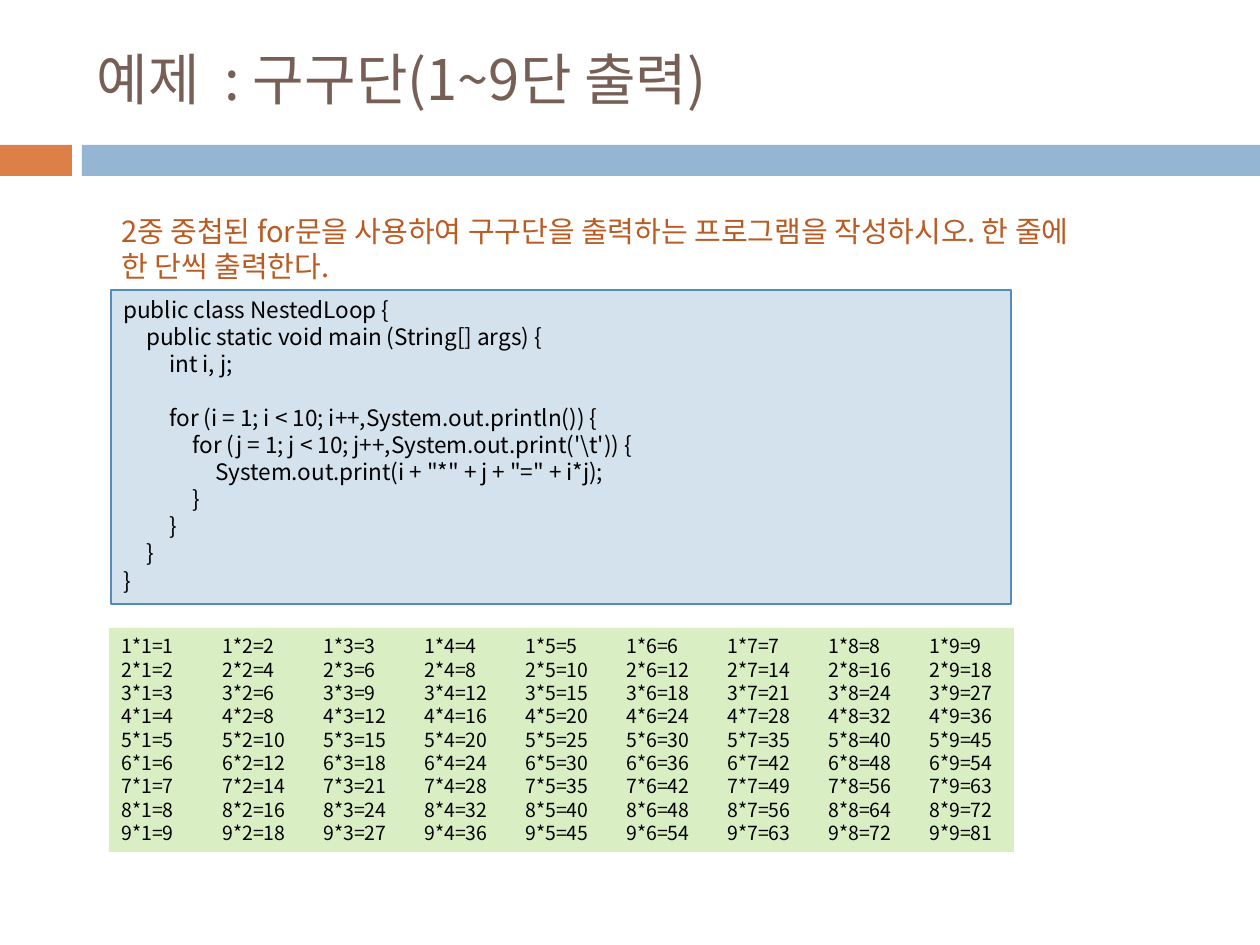
from lxml.etree import SubElement
from pptx import Presentation
from pptx.dml.color import RGBColor
from pptx.enum.shapes import MSO_SHAPE
from pptx.enum.text import MSO_ANCHOR, PP_ALIGN
from pptx.oxml.ns import qn
from pptx.util import Emu, Pt

PX = 914400 // 126
FONT = "Noto Sans CJK KR"

CODE = r"""public class NestedLoop {
	public static void main (String[] args) {
		int i, j;

		for (i = 1; i < 10; i++,System.out.println()) {
			for (j = 1; j < 10; j++,System.out.print('\t')) {
				System.out.print(i + "*" + j + "=" + i*j);
			}
		}
	}
}"""


def px(length):
    return Emu(length * PX)


def color(hex_string):
    return RGBColor.from_string(hex_string)


def place(shape, box):
    shape.left, shape.top, shape.width, shape.height = map(px, box)


def add_box(slide, box, fill, line=None):
    shape = slide.shapes.add_shape(MSO_SHAPE.RECTANGLE, *map(px, box))
    shape.shadow.inherit = False
    shape.fill.solid()
    shape.fill.fore_color.rgb = color(fill)
    if line:
        shape.line.color.rgb = color(line)
        shape.line.width = Pt(0.75)
    else:
        shape.line.fill.background()
    return shape


def add_tabs(paragraph, step, count):
    tab_list = SubElement(paragraph._p.get_or_add_pPr(), qn("a:tabLst"))
    for number in range(1, count + 1):
        SubElement(tab_list, qn("a:tab"), pos=str(px(step * number)), algn="l")


def write(shape, lines, size, hex_color="000000", anchor=MSO_ANCHOR.TOP,
          pitch=None, tab_step=0, tab_count=0):
    frame = shape.text_frame
    frame.word_wrap = True
    frame.vertical_anchor = anchor
    for index, line in enumerate(lines):
        paragraph = frame.add_paragraph() if index else frame.paragraphs[0]
        paragraph.alignment = PP_ALIGN.LEFT
        if pitch:
            paragraph.line_spacing = Pt(pitch)
        if tab_count:
            add_tabs(paragraph, tab_step, tab_count)
        paragraph.font.size = Pt(size)
        if not line:
            continue
        run = paragraph.add_run()
        run.text = line
        run.font.size = Pt(size)
        run.font.color.rgb = color(hex_color)
        run.font.name = FONT
        SubElement(run._r.get_or_add_rPr(), qn("a:ea"), typeface=FONT)


def add_header(slide, box):
    left, top, width, height = box
    # Accent bar under the title
    bar_top, bar_height = top + 145, 31
    add_box(slide, (left, bar_top, 72, bar_height), "DD8047")
    add_box(slide, (left + 82, bar_top, width - 82, bar_height), "94B6D2")
    # Title
    title = slide.shapes.title
    place(title, (left + 84, top + 32, 1124, 93))
    write(title, ["예제  : 구구단(1~9단 출력)"], 32, "775F55", MSO_ANCHOR.MIDDLE)


def add_task(slide, box):
    task = slide.shapes.add_textbox(*map(px, box))
    write(task, ["2중 중첩된 for문을 사용하여 구구단을 출력하는 프로그램을 작성하시오. "
                 "한 줄에 한 단씩 출력한다."], 16.6, "B95B22", pitch=20)


def add_code(slide, box):
    panel = add_box(slide, box, "D4E2ED", "558BB8")
    write(panel, CODE.split("\n"), 12.9, pitch=15.45, tab_step=23, tab_count=4)


def add_output(slide, box):
    panel = add_box(slide, box, "DAEEC4")
    digits = range(1, 10)
    rows = ["\t".join(f"{i}*{j}={i * j}" for j in digits) for i in digits]
    write(panel, rows, 11.1, pitch=13.35, tab_step=101, tab_count=8)


def main():
    presentation = Presentation()
    presentation.slide_width, presentation.slide_height = px(1260), px(945)
    slide = presentation.slides.add_slide(presentation.slide_layouts[5])
    add_header(slide, (0, 0, 1260, 177))
    add_code(slide, (111, 290, 900, 314))
    add_task(slide, (109, 207, 994, 83))
    add_output(slide, (109, 628, 905, 224))
    presentation.save("out.pptx")


if __name__ == "__main__":
    main()
